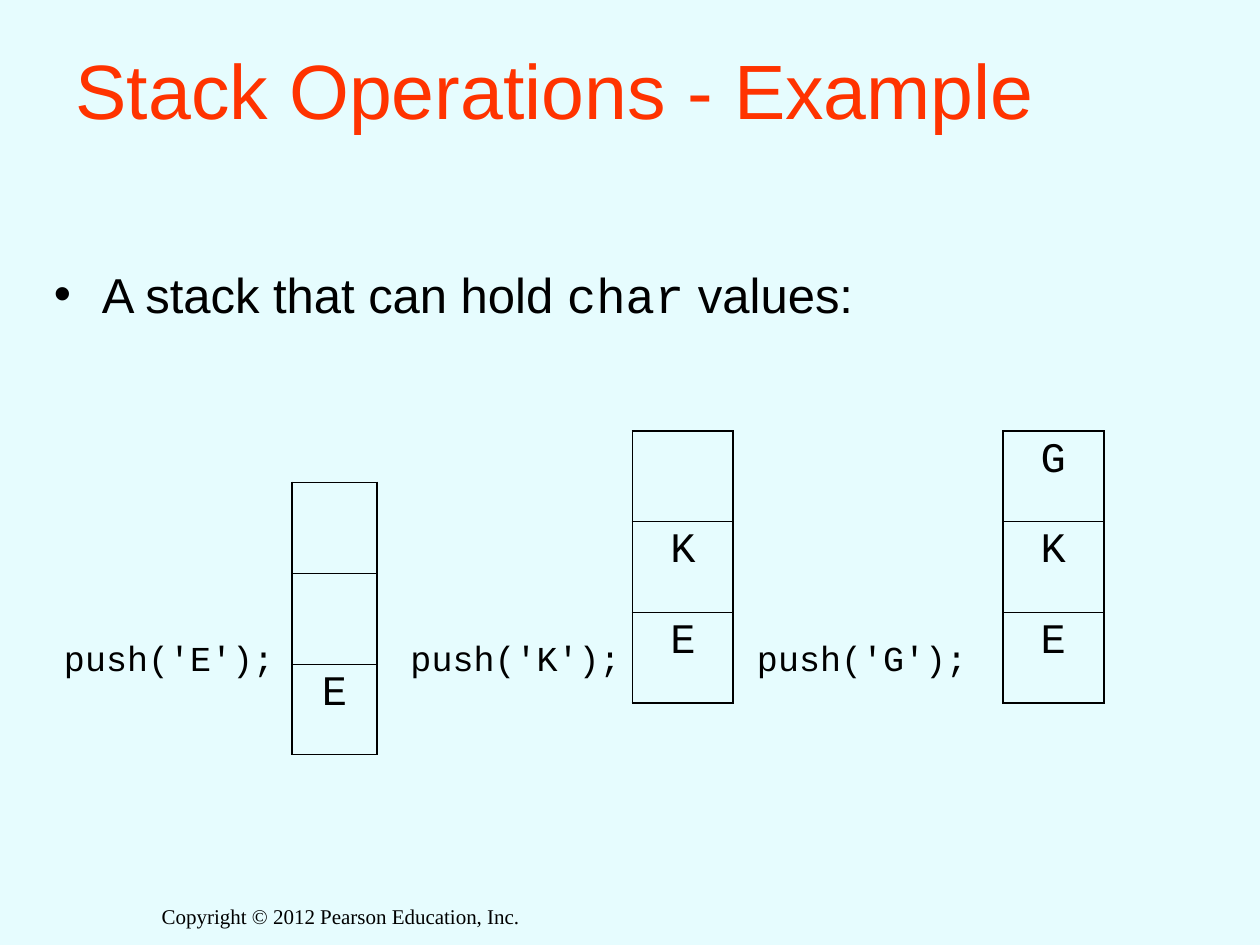
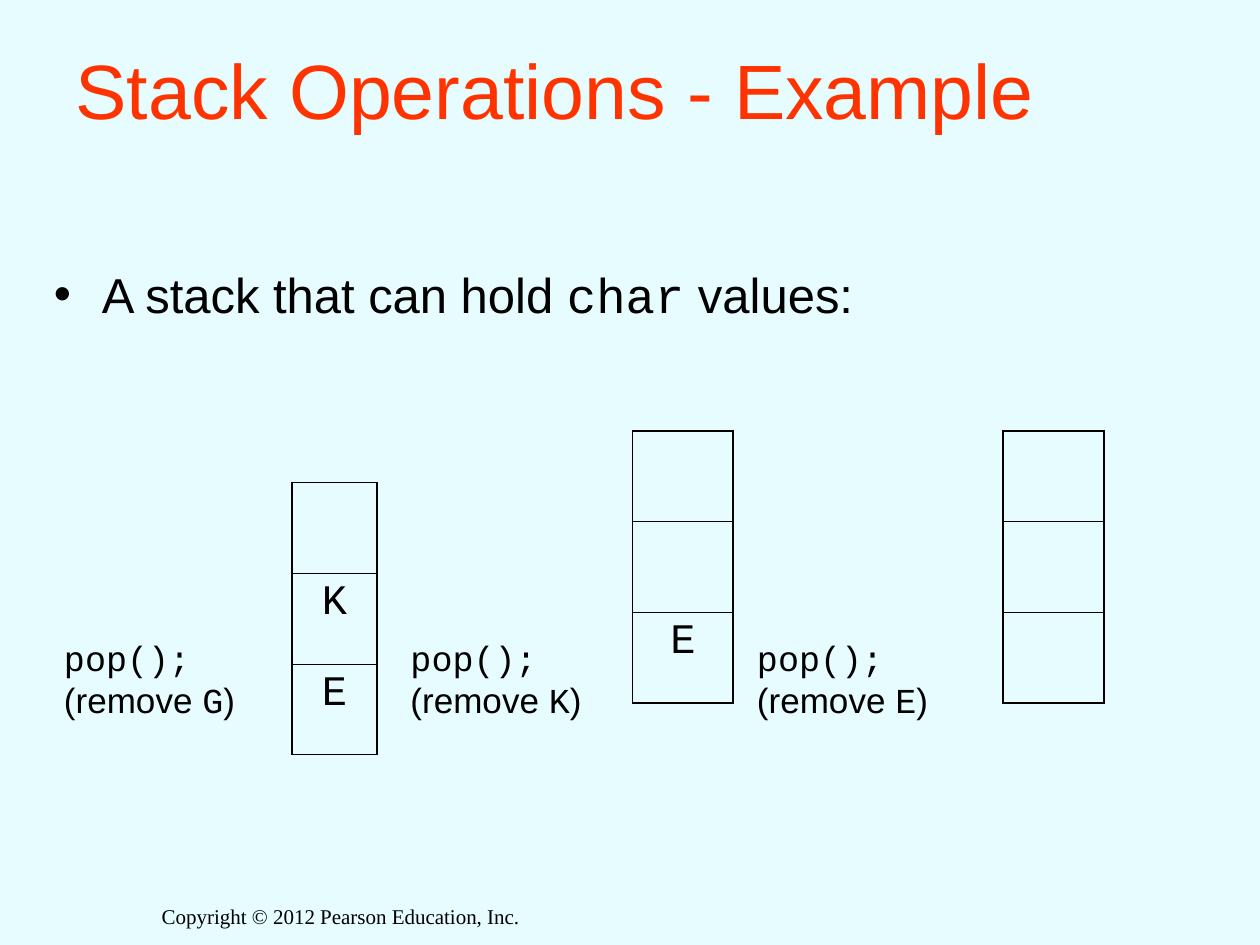
from lxml import etree
from pptx import Presentation
from pptx.dml.color import RGBColor
from pptx.enum.text import MSO_ANCHOR, PP_ALIGN
from pptx.oxml.ns import qn
from pptx.util import Inches, Pt

LEFT, CENTER = PP_ALIGN.LEFT, PP_ALIGN.CENTER
MIDDLE = MSO_ANCHOR.MIDDLE
TITLE_ONLY = 5

BACKGROUND, RED, BLACK = "E6FCFE", "FF3300", "000000"
SANS, MONO, SERIF = "Arial", "Courier New", "Times New Roman"
OUTER, INNER = 1.08, 0.45
ROW_HEIGHT = 0.72

TITLE_BOX = (0.5, 0.08, 8.33, 1.25)
BODY_BOX = (0.33, 2, 8.98, 5)
FOOTER_BOX = (1.08, 7.12, 3.25, 0.38)
STACK_PLACES = [(2.32, 3.83, 0.67), (5.02, 3.42, 0.8), (7.96, 3.42, 0.8)]
LABEL_LEFT, LABEL_STEP, LABEL_TOP = 0.41, 2.75, 5


def push_label(letter):
    return [[(f"push('{letter}');", MONO)]]


def pop_label(letter):
    return [[("pop();", MONO)], [("(remove ", SANS), (letter, MONO), (")", SANS)]]


SLIDES = [
    {"label": push_label, "letters": "EKG", "stacks": [["", "", "E"], ["", "K", "E"], ["G", "K", "E"]],
     "label_size": (1.87, 0.44)},
    {"label": pop_label, "letters": "GKE", "stacks": [["", "K", "E"], ["", "", "E"], ["", "", ""]],
     "label_size": (1.56, 0.77)},
]


def colour(value):
    return RGBColor.from_string(value)


def apply_format(target, values):
    for name, value in values.items():
        setattr(target, name, value)


def write_para(para, spans, size, ink=BLACK, align=LEFT):
    para.alignment = align
    for text, font in spans:
        span = para.add_run()
        span.text = text
        apply_format(span.font, {"name": font, "size": Pt(size)})
        span.font.color.rgb = colour(ink)


def add_text(page, box, paras, size, align=LEFT, wrap=True):
    frame = page.shapes.add_textbox(*map(Inches, box)).text_frame
    frame.word_wrap = wrap
    for index, spans in enumerate(paras):
        para = frame.add_paragraph() if index else frame.paragraphs[0]
        write_para(para, spans, size, align=align)
    return frame


def add_title(page, box):
    title = page.shapes.title
    apply_format(title, dict(zip(("left", "top", "width", "height"), map(Inches, box))))
    title.text_frame.vertical_anchor = MIDDLE
    write_para(title.text_frame.paragraphs[0], [("Stack Operations - Example", SANS)], 44, RED)


def add_body(page, box):
    spans = [("A stack that can hold ", SANS), ("char", MONO), (" values:", SANS)]
    frame = add_text(page, box, [spans], 28)
    frame.margin_top = Inches(0.1)
    props = frame.paragraphs[0]._p.get_or_add_pPr()
    props.set("marL", str(Inches(0.38)))
    props.set("indent", str(-Inches(0.38)))
    ink = etree.SubElement(props, qn("a:buClr"))
    etree.SubElement(ink, qn("a:srgbClr"), val=BLACK)
    etree.SubElement(props, qn("a:buFont"), typeface=SANS)
    etree.SubElement(props, qn("a:buChar"), char="•")


def add_border(cell, side, width):
    line = etree.SubElement(cell._tc.get_or_add_tcPr(), qn(f"a:ln{side}"), w=str(Pt(width)))
    fill = etree.SubElement(line, qn("a:solidFill"))
    etree.SubElement(fill, qn("a:srgbClr"), val=BLACK)


def add_stack(page, place, letters):
    left, top, width = map(Inches, place)
    count = len(letters)
    table = page.shapes.add_table(count, 1, left, top, width, Inches(ROW_HEIGHT * count)).table
    apply_format(table, {"first_row": False, "horz_banding": False})
    for index, letter in enumerate(letters):
        cell = table.cell(index, 0)
        widths = {"L": OUTER, "R": OUTER,
                  "T": INNER if index else OUTER,
                  "B": INNER if index < count - 1 else OUTER}
        for side, thickness in widths.items():
            add_border(cell, side, thickness)
        cell.fill.background()
        if letter:
            write_para(cell.text_frame.paragraphs[0], [(letter, MONO)], 24, align=CENTER)


def add_footer(page, box):
    add_text(page, box, [[("Copyright © 2012 Pearson Education, Inc.", SERIF)]], 12, CENTER)


def add_stack_slide(deck, content):
    page = deck.slides.add_slide(deck.slide_layouts[TITLE_ONLY])
    add_footer(page, FOOTER_BOX)
    add_title(page, TITLE_BOX)
    add_body(page, BODY_BOX)
    for place, letters in zip(STACK_PLACES, content["stacks"]):
        add_stack(page, place, letters)
    for index, letter in enumerate(content["letters"]):
        box = (LABEL_LEFT + index * LABEL_STEP, LABEL_TOP, *content["label_size"])
        add_text(page, box, content["label"](letter), 20, wrap=False)


def main():
    deck = Presentation()
    apply_format(deck, {"slide_width": Inches(10), "slide_height": Inches(7.5)})
    fill = deck.slide_master.background.fill
    fill.solid()
    fill.fore_color.rgb = colour(BACKGROUND)
    for content in SLIDES:
        add_stack_slide(deck, content)
    deck.save("out.pptx")


if __name__ == "__main__":
    main()
